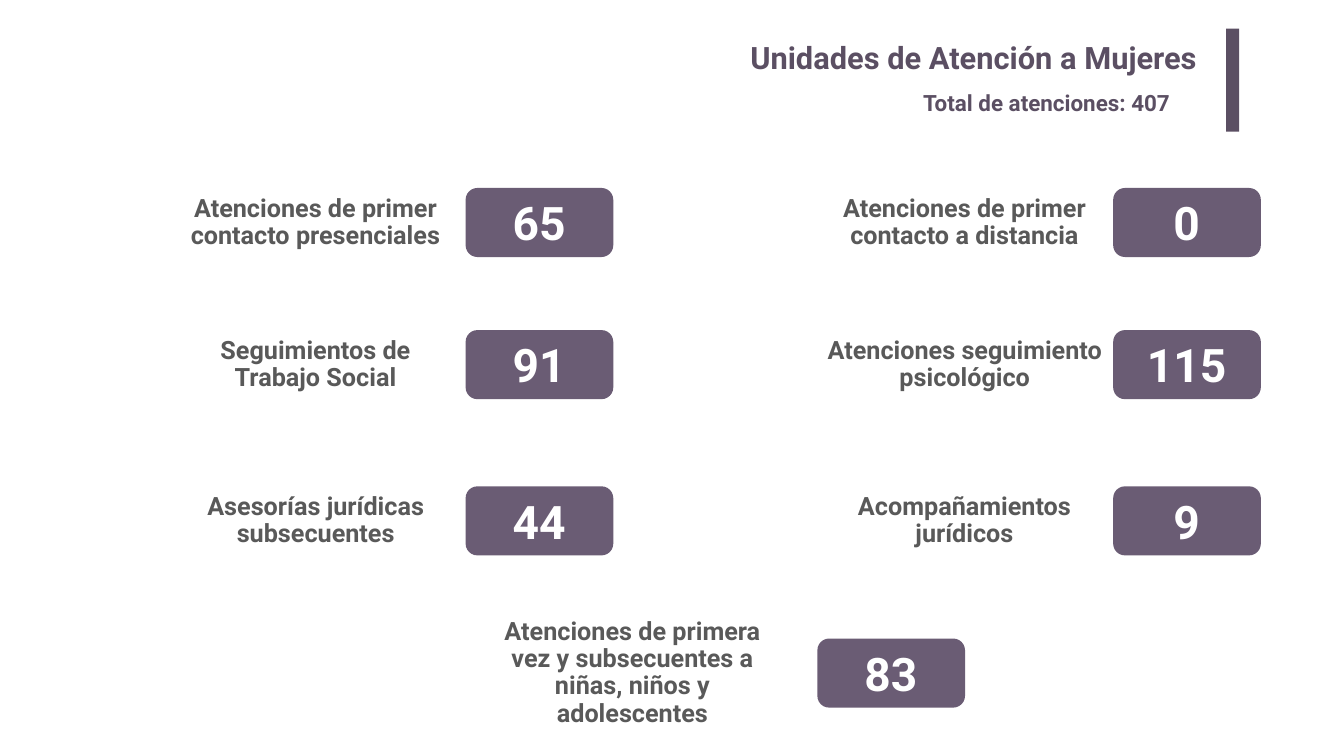
from dataclasses import dataclass

import pptx
import pptx.dml.color
import pptx.enum.shapes
import pptx.enum.text
import pptx.slide
import pptx.text.text
import pptx.util

EMU_PER_PX = 9144  # 100 px to the inch

PURPLE_DARK = pptx.dml.color.RGBColor(0x5B, 0x4F, 0x63)
PURPLE = pptx.dml.color.RGBColor(0x6A, 0x5C, 0x74)
GRAY = pptx.dml.color.RGBColor(0x59, 0x59, 0x59)
WHITE = pptx.dml.color.RGBColor(0xFF, 0xFF, 0xFF)

FONT = "Roboto"
BADGE_W, BADGE_H = 293, 137
COUNT_W, COUNT_H = 204, 121

ALIGN = pptx.enum.text.PP_ALIGN
ANCHOR = pptx.enum.text.MSO_ANCHOR
AUTO_SIZE = pptx.enum.text.MSO_AUTO_SIZE
SHAPE = pptx.enum.shapes.MSO_SHAPE


@dataclass(frozen=True)
class Box:
    left: int
    top: int
    width: int
    height: int

    def emu(self) -> list[int]:
        return [v * EMU_PER_PX for v in (self.left, self.top, self.width, self.height)]


@dataclass(frozen=True)
class Column:
    label_center: int
    badge_left: int


@dataclass(frozen=True)
class Service:
    label: str
    count: int
    column: Column
    badge_top: int
    label_w: int
    label_h: int


LEFT = Column(626, 924)
RIGHT = Column(1914, 2209)
MIDDLE = Column(1255, 1622)
ROW_TOPS = (373, 655, 965, 1267)

SERVICES = (
    Service("Atenciones de primer contacto presenciales", 65, LEFT, ROW_TOPS[0], 548, 137),
    Service("Atenciones de primer contacto a distancia", 0, RIGHT, ROW_TOPS[0], 516, 121),
    Service("Seguimientos de Trabajo Social", 91, LEFT, ROW_TOPS[1], 558, 141),
    Service("Atenciones seguimiento psicológico", 115, RIGHT, ROW_TOPS[1], 781, 53),
    Service("Asesorías jurídicas subsecuentes", 44, LEFT, ROW_TOPS[2], 605, 80),
    Service("Acompañamientos jurídicos", 9, RIGHT, ROW_TOPS[2], 646, 64),
    Service("Atenciones de primera vez y subsecuentes a niñas, niños y adolescentes",
            83, MIDDLE, ROW_TOPS[3], 600, 49),
)


def centered(center_x: int, center_y: int, width: int, height: int) -> Box:
    return Box(center_x - width // 2, center_y - height // 2, width, height)


def add_block(slide: pptx.slide.Slide, kind: SHAPE, box: Box,
              color: pptx.dml.color.RGBColor):
    block = slide.shapes.add_shape(kind, *box.emu())
    block.shadow.inherit = False
    block.fill.solid()
    block.fill.fore_color.rgb = color
    block.line.fill.background()
    return block


def add_text(slide: pptx.slide.Slide, text: str, box: Box, size: int,
             color: pptx.dml.color.RGBColor, align: ALIGN,
             grow: bool = False) -> pptx.text.text.TextFrame:
    frame = slide.shapes.add_textbox(*box.emu()).text_frame
    frame.word_wrap = True
    frame.auto_size = AUTO_SIZE.SHAPE_TO_FIT_TEXT if grow else AUTO_SIZE.NONE
    paragraph = frame.paragraphs[0]
    paragraph.text = text
    paragraph.alignment = align
    paragraph.font.name = FONT
    paragraph.font.size = pptx.util.Pt(size)
    paragraph.font.bold = True
    paragraph.font.color.rgb = color
    return frame


def add_service(slide: pptx.slide.Slide, service: Service) -> None:
    center_y = service.badge_top + BADGE_H // 2
    badge_left = service.column.badge_left

    label_box = centered(service.column.label_center, center_y,
                         service.label_w, service.label_h)
    label = add_text(slide, service.label, label_box, 36, GRAY, ALIGN.CENTER)
    label.vertical_anchor = ANCHOR.MIDDLE
    label.paragraphs[0].line_spacing = 0.9

    badge = add_block(slide, SHAPE.ROUNDED_RECTANGLE,
                      Box(badge_left, service.badge_top, BADGE_W, BADGE_H), PURPLE)
    badge.adjustments[0] = 0.17
    count_box = centered(badge_left + BADGE_W // 2, center_y, COUNT_W, COUNT_H)
    add_text(slide, str(service.count), count_box, 66, WHITE, ALIGN.CENTER, grow=True)


def main() -> None:
    deck = pptx.Presentation()
    deck.slide_width = 2667 * EMU_PER_PX
    deck.slide_height = 1500 * EMU_PER_PX
    slide = deck.slides.add_slide(deck.slide_layouts[6])

    # Heading with its accent bar
    heading = add_text(slide, "Unidades de Atención a Mujeres", Box(366, 67, 2030, 102),
                       44, PURPLE_DARK, ALIGN.RIGHT)
    heading.margin_left = heading.margin_right = 20 * EMU_PER_PX
    heading.margin_top = heading.margin_bottom = 10 * EMU_PER_PX
    add_block(slide, SHAPE.RECTANGLE, Box(2433, 57, 26, 204), PURPLE_DARK)
    add_text(slide, "Total de atenciones: 407", Box(1822, 171, 592, 64),
             32, PURPLE_DARK, ALIGN.LEFT, grow=True)

    # Services with their counts
    for service in SERVICES:
        add_service(slide, service)

    deck.save("out.pptx")


if __name__ == "__main__":
    main()
